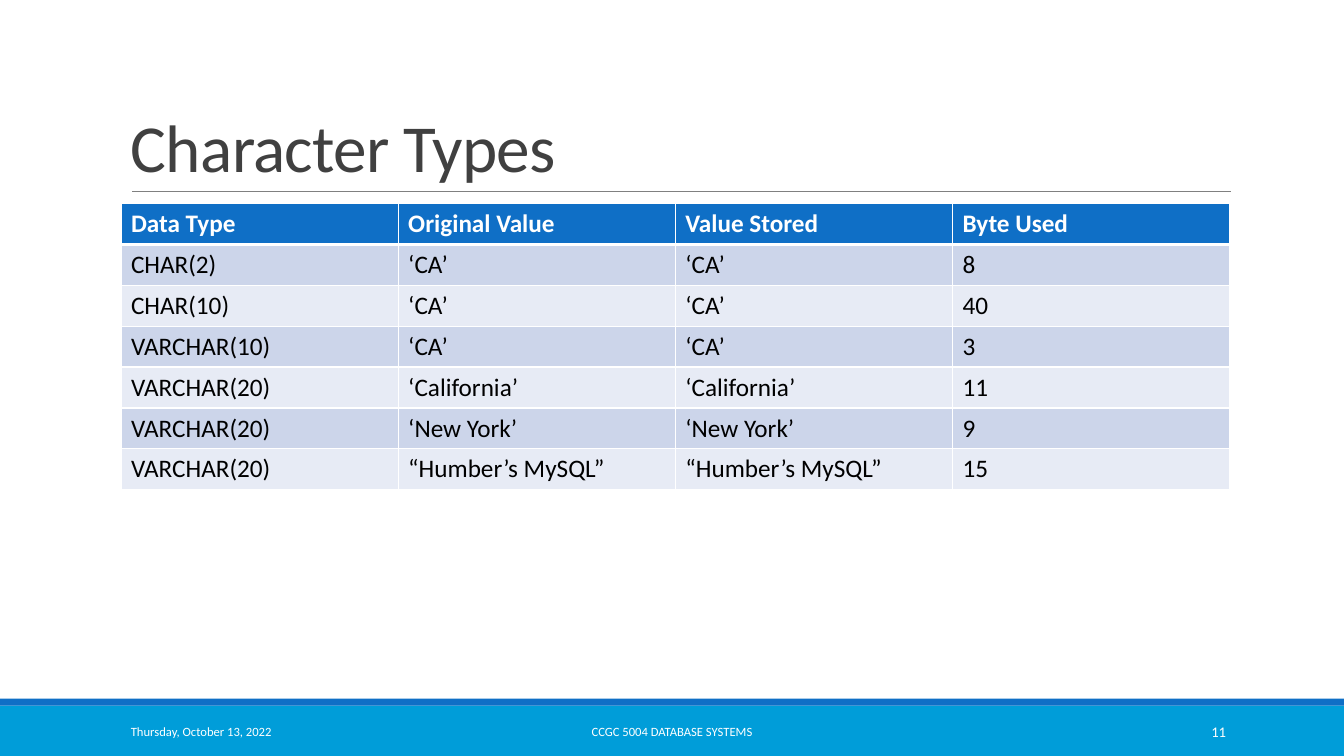
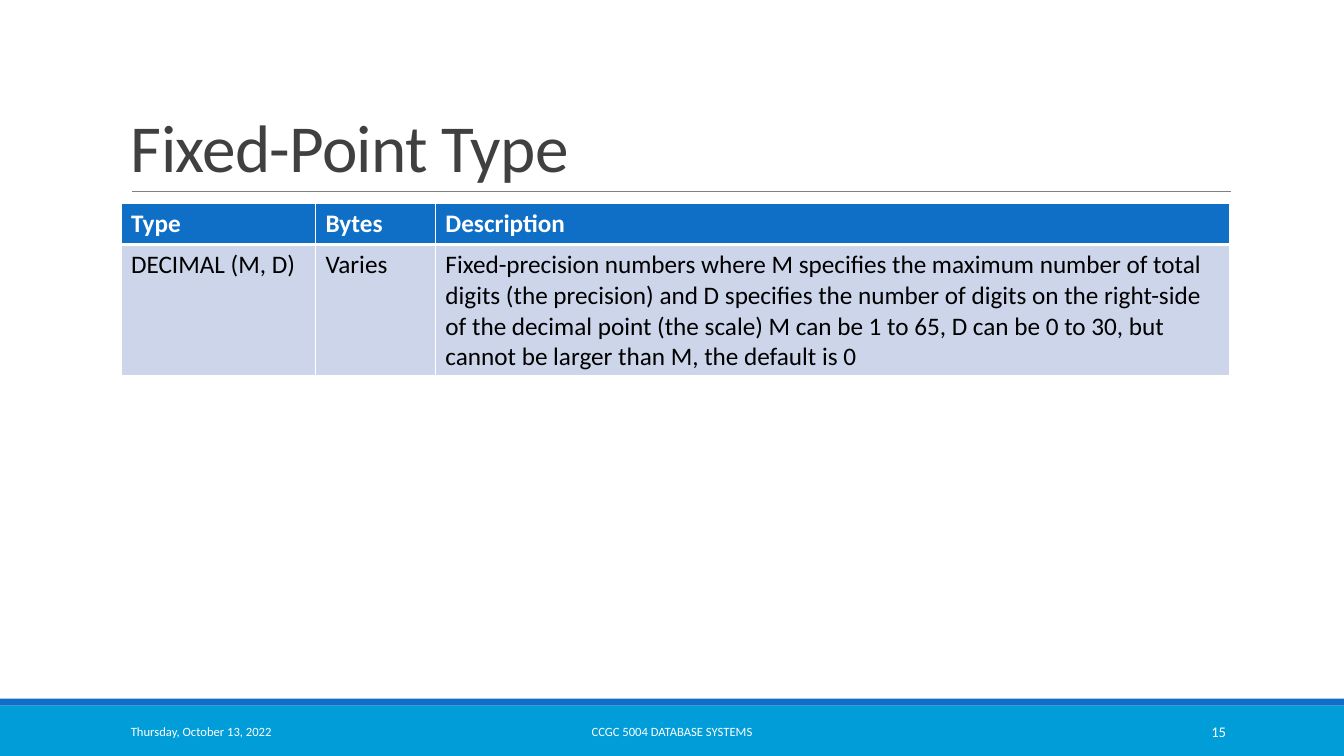
from lxml import etree
from pptx import Presentation
from pptx.dml.color import RGBColor
from pptx.enum.shapes import MSO_CONNECTOR, MSO_SHAPE
from pptx.enum.text import MSO_ANCHOR, PP_ALIGN
from pptx.oxml.ns import qn
from pptx.util import Emu, Inches, Pt

RECTANGLE, STRAIGHT = MSO_SHAPE.RECTANGLE, MSO_CONNECTOR.STRAIGHT
LEFT, CENTER, RIGHT = PP_ALIGN.LEFT, PP_ALIGN.CENTER, PP_ALIGN.RIGHT
BOTTOM, MIDDLE = MSO_ANCHOR.BOTTOM, MSO_ANCHOR.MIDDLE

COLORS = {
    "band": "009DD9",
    "accent": "0F6FC6",
    "rule": "808080",
    "title": "404040",
    "white": "FFFFFF",
    "black": "000000",
    "odd_row": "CCD5EA",
    "even_row": "E7EBF5",
}
FONT = "Calibri"
WIDTH, HEIGHT = Inches(13.33), Inches(7.5)

# Shared layout, in percent of the slide's width and height
CONTENT_LEFT, CONTENT_WIDTH = 9, 82.5
TABLE_TOP, ROW_HEIGHT = 26.93, 5.41
FOOTER_TOP, FOOTER_HEIGHT = 94.13, 5.33
DATE = "Thursday, October 13, 2022"
COURSE = "CCGC 5004 DATABASE SYSTEMS"

CHARACTER_ROWS = [
    ["Data Type", "Original Value", "Value Stored", "Byte Used"],
    ["CHAR(2)", "‘CA’", "‘CA’", "8"],
    ["CHAR(10)", "‘CA’", "‘CA’", "40"],
    ["VARCHAR(10)", "‘CA’", "‘CA’", "3"],
    ["VARCHAR(20)", "‘California’", "‘California’", "11"],
    ["VARCHAR(20)", "‘New York’", "‘New York’", "9"],
    ["VARCHAR(20)", "“Humber’s MySQL”", "“Humber’s MySQL”", "15"],
]
FIXED_POINT_ROWS = [
    ["Type", "Bytes", "Description"],
    ["DECIMAL (M, D)", "Varies",
     "Fixed-precision numbers where M specifies the maximum number of total "
     "digits (the precision) and D specifies the number of digits on the "
     "right-side of the decimal point (the scale) M can be 1 to 65, D can be "
     "0 to 30, but cannot be larger than M, the default is 0"],
]


def color(name):
    return RGBColor.from_string(COLORS[name])


def across(percent):
    return Emu(round(WIDTH * percent / 100))


def down(percent):
    return Emu(round(HEIGHT * percent / 100))


def area(left, top, width, height):
    return across(left), down(top), across(width), down(height)


def add_run(paragraph, text, size, color_name, bold=False):
    run = paragraph.add_run()
    run.text = text
    run.font.name = FONT
    run.font.size = Pt(size)
    run.font.bold = bold
    run.font.color.rgb = color(color_name)
    return run


def add_text(slide, box, text, size, color_name, align=LEFT, anchor=MIDDLE):
    frame = slide.shapes.add_textbox(*box).text_frame
    frame.word_wrap = True
    frame.vertical_anchor = anchor
    paragraph = frame.paragraphs[0]
    paragraph.alignment = align
    return paragraph, add_run(paragraph, text, size, color_name)


def add_band(slide, top, height, color_name):
    band = slide.shapes.add_shape(RECTANGLE, *area(0, top, 100, height))
    band.shadow.inherit = False
    band.fill.solid()
    band.fill.fore_color.rgb = color(color_name)
    band.line.fill.background()


def add_rule(slide, left, right, top):
    rule = slide.shapes.add_connector(
        STRAIGHT, across(left), down(top), across(right), down(top))
    rule.line.color.rgb = color("rule")
    rule.line.width = Pt(0.5)
    etree.SubElement(rule._element.spPr, qn("a:effectLst"))


def add_title(slide, text):
    box = area(CONTENT_LEFT, 4.13, CONTENT_WIDTH, 21.2)
    paragraph, run = add_text(slide, box, text, 48, "title", anchor=BOTTOM)
    paragraph.line_spacing = 0.85
    run._r.get_or_add_rPr().set("spc", "-50")


def add_footer(slide, number):
    parts = [
        (CONTENT_LEFT, 20.25, DATE, 9, LEFT),
        (30.23, 39.53, COURSE, 9, CENTER),
        (81.23, 10.73, str(number), 10.5, RIGHT),
    ]
    for left, width, text, size, align in parts:
        box = area(left, FOOTER_TOP, width, FOOTER_HEIGHT)
        add_text(slide, box, text, size, "white", align)


def set_borders(cell, top, bottom):
    properties = cell._tc.get_or_add_tcPr()
    for side, points in (("L", 1), ("R", 1), ("T", top), ("B", bottom)):
        border = etree.SubElement(properties, qn(f"a:ln{side}"), w=str(Pt(points)))
        fill = etree.SubElement(border, qn("a:solidFill"))
        etree.SubElement(fill, qn("a:srgbClr"), val=COLORS["white"])


def fill_cell(cell, text, row):
    header = row == 0
    # The edge between header and body is heavier
    set_borders(cell, top=3 if row == 1 else 1, bottom=3 if header else 1)
    cell.fill.solid()
    body_fill = "odd_row" if row % 2 else "even_row"
    cell.fill.fore_color.rgb = color("accent" if header else body_fill)
    text_color = "white" if header else "black"
    add_run(cell.text_frame.paragraphs[0], text, 18, text_color, bold=header)


def add_data_table(slide, rows, weights, body_height=ROW_HEIGHT):
    heights = [ROW_HEIGHT] + [body_height] * (len(rows) - 1)
    box = area(CONTENT_LEFT, TABLE_TOP, CONTENT_WIDTH, sum(heights))
    table = slide.shapes.add_table(len(rows), len(weights), *box).table
    table.horz_banding = False
    for column, weight in zip(table.columns, weights):
        column.width = across(CONTENT_WIDTH * weight / sum(weights))
    for index, (texts, height) in enumerate(zip(rows, heights)):
        table.rows[index].height = down(height)
        for column, text in enumerate(texts):
            fill_cell(table.cell(index, column), text, index)


def add_framed_slide(presentation, title, number):
    slide = presentation.slides.add_slide(presentation.slide_layouts[6])
    add_band(slide, 93.33, 6.67, "band")
    add_band(slide, 92.4, 0.93, "accent")
    add_rule(slide, 9.83, 91.6, 25.33)
    add_title(slide, title)
    add_footer(slide, number)
    return slide


def main():
    presentation = Presentation()
    presentation.slide_width, presentation.slide_height = WIDTH, HEIGHT

    # Character types
    slide = add_framed_slide(presentation, "Character Types", 11)
    add_data_table(slide, CHARACTER_ROWS, [1, 1, 1, 1])

    # Fixed-point type
    slide = add_framed_slide(presentation, "Fixed-Point Type", 15)
    add_data_table(slide, FIXED_POINT_ROWS, [1.93, 1.19, 7.88], body_height=17.33)

    presentation.save("out.pptx")


if __name__ == "__main__":
    main()
